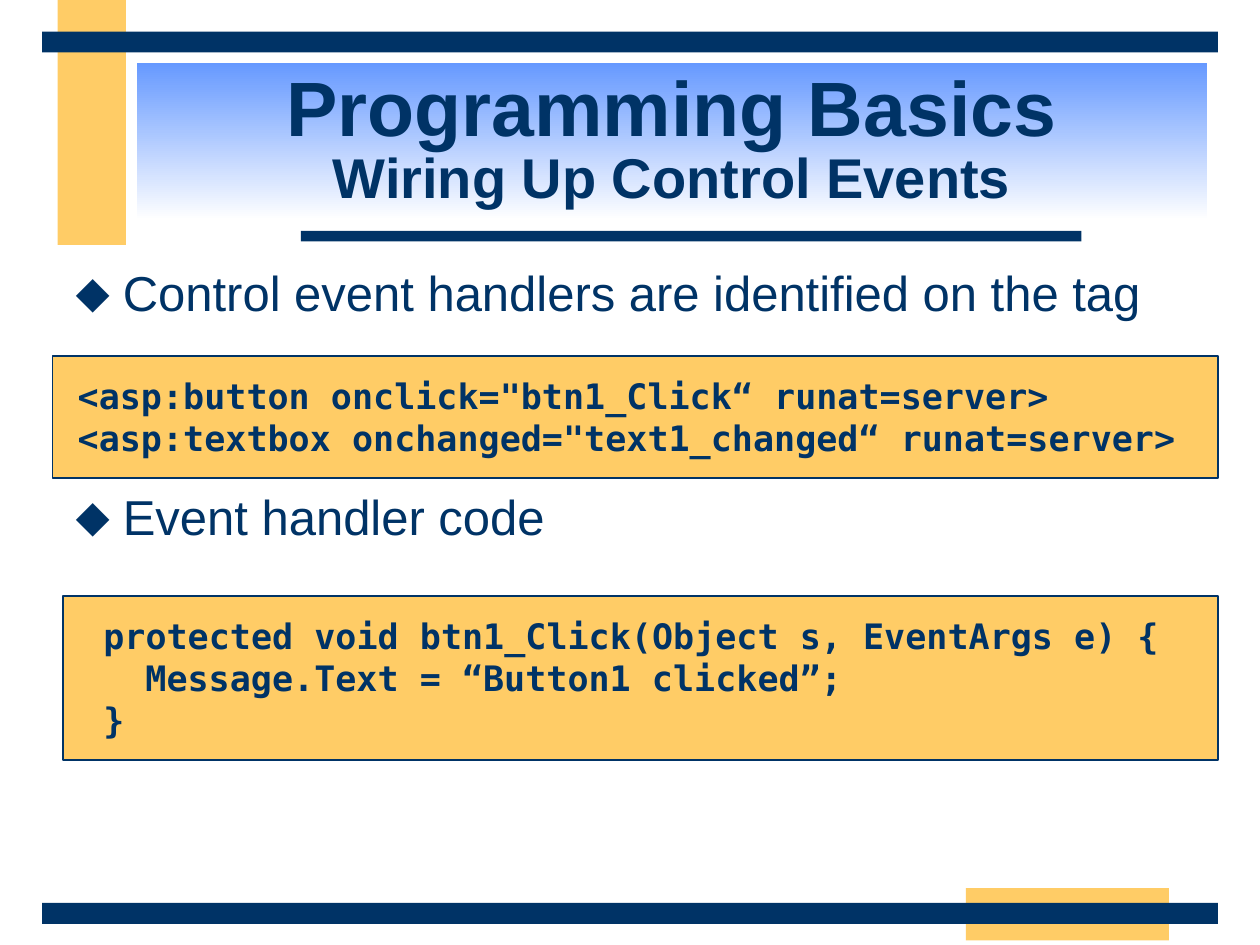
from lxml import etree
from pptx import Presentation
from pptx.dml.color import RGBColor
from pptx.enum import shapes, text
from pptx.oxml import ns
from pptx.util import Pt

NAVY, GOLD, BLUE, WHITE = "003366", "FFCC66", "6699FF", "FFFFFF"
SANS, MONO = "Arial", "DejaVu Sans Mono"

BARS = [
    ((33, 0, 39, 140), GOLD),
    ((552, 507.5, 116, 30), GOLD),
    ((172, 132, 446, 6), NAVY),
    ((24, 516, 672, 12), NAVY),
    ((24, 18, 672, 12), NAVY),
]
TITLE = [("Programming Basics", 44), ("Wiring Up Control Events", 32)]
BULLETS = [("Control event handlers are identified on the tag", 7),
           ("Event handler code", 98)]
CODE = [
    ((36, 340.5, 660, 94), [
        ("protected void btn1_Click(Object s, EventArgs e) {", 8.64),
        ("Message.Text = “Button1 clicked”;", 32.7),
        ("}", 8.64),
    ]),
    ((30, 203.3, 666, 70), [
        ('<asp:button onclick="btn1_Click“ runat=server>', 0),
        ('<asp:textbox onchanged="text1_changed“ runat=server>', 0),
    ]),
]


def rgb(color):
    return RGBColor.from_string(color)


def place(sp, box):
    sp.left, sp.top, sp.width, sp.height = map(Pt, box)


def add_rect(s, box, color):
    sp = s.shapes.add_shape(shapes.MSO_SHAPE.RECTANGLE, *map(Pt, box))
    sp.shadow.inherit = False
    sp.fill.solid()
    sp.fill.fore_color.rgb = rgb(color)
    sp.line.fill.background()
    return sp


def add_text(p, words, size, font=SANS, bold=False):
    r = p.add_run()
    r.text = words
    r.font.name, r.font.size, r.font.bold = font, Pt(size), bold
    r.font.color.rgb = rgb(NAVY)


def set_indent(p, left, first=0):
    pPr = p._p.get_or_add_pPr()
    pPr.set("marL", str(Pt(left)))
    pPr.set("indent", str(Pt(first)))
    return pPr


def new_paragraph(tf, i):
    return tf.add_paragraph() if i else tf.paragraphs[0]


def add_title(s):
    sp = s.shapes.title
    place(sp, (78, 36, 612, 90))
    sp.fill.gradient()
    sp.fill.gradient_angle = 270
    for stop, color, pos in zip(sp.fill.gradient_stops, (BLUE, WHITE), (0, 1)):
        stop.color.rgb = rgb(color)
        stop.position = pos
    tf = sp.text_frame
    tf.auto_size = text.MSO_AUTO_SIZE.NONE
    tf.vertical_anchor = text.MSO_ANCHOR.MIDDLE
    p = tf.paragraphs[0]
    p.alignment = text.PP_ALIGN.CENTER
    p.line_spacing = 0.85
    for i, (words, size) in enumerate(TITLE):
        if i:
            p.add_line_break()
        add_text(p, words, size, bold=True)


def add_bullets(s):
    sp = s.placeholders[1]
    place(sp, (36, 150, 672, 354))
    tf = sp.text_frame
    tf.auto_size = text.MSO_AUTO_SIZE.NONE
    for i, (words, before) in enumerate(BULLETS):
        p = new_paragraph(tf, i)
        p.line_spacing = 0.9
        p.space_before = Pt(before)
        pPr = set_indent(p, 27, -27)
        clr = etree.SubElement(pPr, ns.qn("a:buClr"))
        etree.SubElement(clr, ns.qn("a:srgbClr"), val=NAVY)
        etree.SubElement(pPr, ns.qn("a:buChar"), char="⬥")
        add_text(p, words, 28)


def add_code(s, box, lines):
    sp = add_rect(s, box, GOLD)
    sp.line.color.rgb = rgb(NAVY)
    sp.line.width = Pt(1)
    tf = sp.text_frame
    tf.word_wrap = True
    tf.vertical_anchor = text.MSO_ANCHOR.TOP
    tf.margin_left = tf.margin_right = Pt(14.4)
    tf.margin_top = tf.margin_bottom = Pt(10.8)
    for i, (words, left) in enumerate(lines):
        p = new_paragraph(tf, i)
        p.alignment = text.PP_ALIGN.LEFT
        set_indent(p, left)
        add_text(p, words, 20, MONO, True)


def main():
    prs = Presentation()
    prs.slide_width, prs.slide_height = Pt(720), Pt(540)
    s = prs.slides.add_slide(prs.slide_layouts[1])
    for box, color in BARS:
        add_rect(s, box, color)
    add_title(s)
    add_bullets(s)
    for box, lines in CODE:
        add_code(s, box, lines)
    prs.save("out.pptx")


if __name__ == "__main__":
    main()
